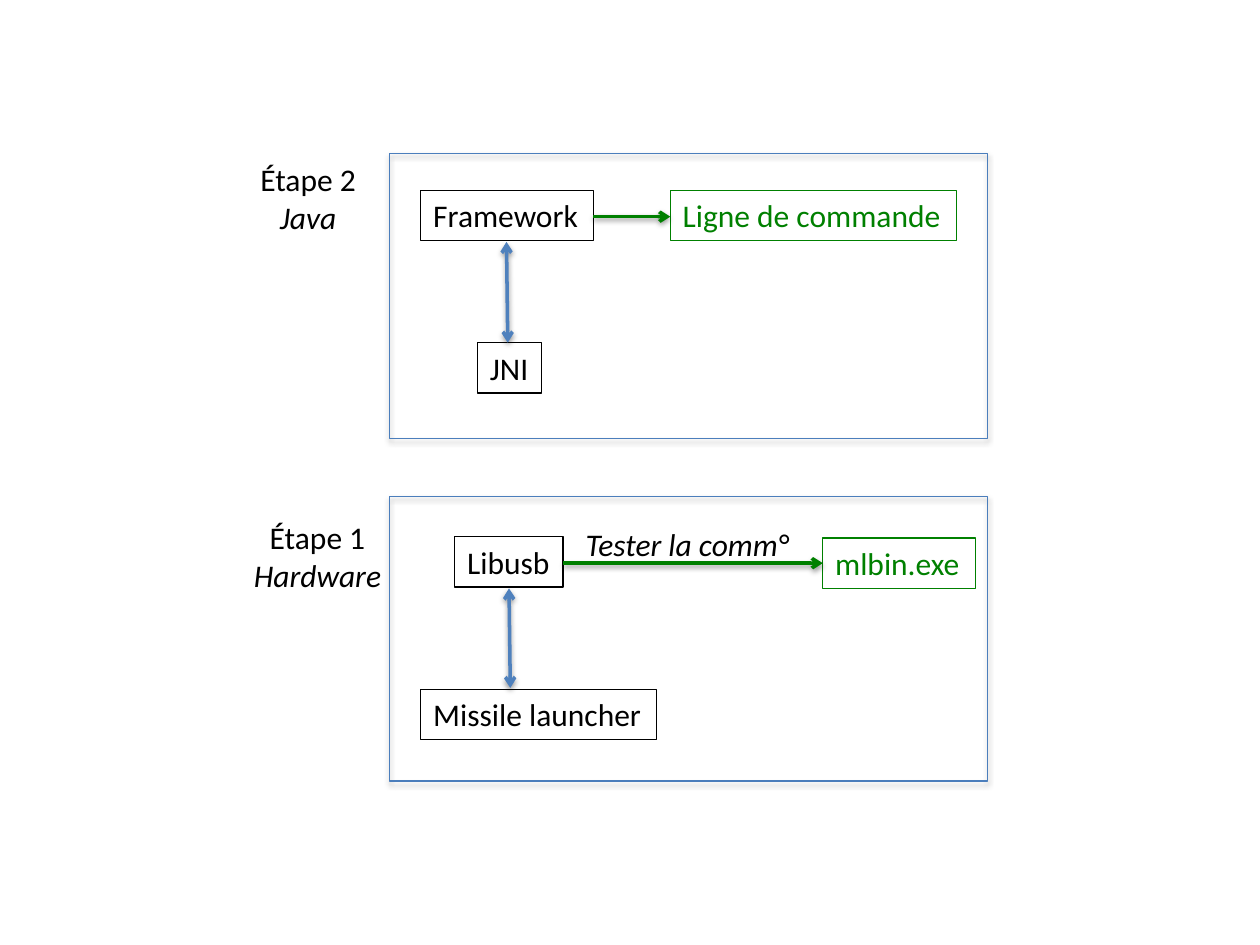
from dataclasses import dataclass

import lxml.etree
import pptx
import pptx.dml.color
import pptx.enum.shapes
import pptx.enum.text
import pptx.oxml
import pptx.oxml.ns
import pptx.util

Inches = pptx.util.Inches
Pt = pptx.util.Pt

COLORS = {"text": "000000", "frame": "4B7EBC", "link": "4F81BD", "output": "008000"}
FONT = "Calibri"
BOX_HEIGHT = 0.4


@dataclass
class Box:
    """A one-line label, outlined unless it is a caption."""
    text: str
    left: float
    top: float
    width: float
    color: str = "text"
    outlined: bool = True
    italic: bool = False


@dataclass
class Step:
    """A stage name over its technology."""
    name: str
    technology: str
    left: float
    top: float
    width: float


@dataclass
class Arrow:
    start: tuple[float, float]
    end: tuple[float, float]
    color: str
    two_way: bool = False


FRAME_LEFT, FRAME_WIDTH, FRAME_HEIGHT = 3.09, 4.75, 2.26
FRAME_TOPS = (1.22, 3.94)

BOXES = [
    Box("Framework", 3.34, 1.51, 1.37),
    Box("JNI", 3.79, 2.72, 0.51),
    Box("Libusb", 3.61, 4.26, 0.86),
    Box("Missile launcher", 3.34, 5.47, 1.87),
    Box("mlbin.exe", 6.53, 4.27, 1.21, "output"),
    Box("Ligne de commande", 5.32, 1.51, 2.27, "output"),
]
CAPTION = Box("Tester la comm°", 4.55, 4.12, 1.92, outlined=False, italic=True)
STEPS = [
    Step("Étape 1", "Hardware", 1.88, 4.06, 1.28),
    Step("Étape 2", "Java", 1.95, 1.22, 0.99),
]
ARROWS = [
    Arrow((4.04, 4.67), (4.05, 5.46), "link", two_way=True),
    Arrow((4.02, 1.92), (4.03, 2.72), "link", two_way=True),
    Arrow((4.71, 1.72), (5.32, 1.72), "output"),
    Arrow((4.47, 4.47), (6.53, 4.47), "output"),
]


def rgb(name: str) -> pptx.dml.color.RGBColor:
    return pptx.dml.color.RGBColor.from_string(COLORS[name])


def set_line(line, color: str, width: float) -> None:
    line.color.rgb = rgb(color)
    line.width = Pt(width)


def add_shadow(shape, distance: float, opacity: int) -> None:
    """Cast a soft black shadow straight down."""
    shape._element.spPr.append(pptx.oxml.parse_xml(
        f'<a:effectLst {pptx.oxml.ns.nsdecls("a")}>'
        f'<a:outerShdw blurRad="{Pt(3.1)}" dist="{Pt(distance)}" dir="5400000" rotWithShape="0">'
        f'<a:srgbClr val="000000"><a:alpha val="{opacity * 1000}"/></a:srgbClr>'
        '</a:outerShdw></a:effectLst>'))


def add_frame(page, top: float) -> None:
    frame = page.shapes.add_shape(
        pptx.enum.shapes.MSO_SHAPE.RECTANGLE, Inches(FRAME_LEFT), Inches(top),
        Inches(FRAME_WIDTH), Inches(FRAME_HEIGHT))
    frame.fill.background()
    set_line(frame.line, "frame", 0.75)
    add_shadow(frame, 1.8, 35)


def add_text(page, left: float, top: float, width: float, height: float):
    """Add an empty text box that fits its unwrapped text."""
    shape = page.shapes.add_textbox(Inches(left), Inches(top), Inches(width), Inches(height))
    shape.text_frame.word_wrap = False
    shape.text_frame.auto_size = pptx.enum.text.MSO_AUTO_SIZE.SHAPE_TO_FIT_TEXT
    return shape


def write_para(para, text: str, color: str = "text", italic: bool = False) -> None:
    para.text = text
    para.font.name = FONT
    para.font.size = Pt(18)
    para.font.italic = italic
    para.font.color.rgb = rgb(color)


def add_box(page, box: Box) -> None:
    shape = add_text(page, box.left, box.top, box.width, BOX_HEIGHT)
    if box.outlined:
        set_line(shape.line, box.color, 0.75)
    write_para(shape.text_frame.paragraphs[0], box.text, box.color, box.italic)


def add_step(page, step: Step) -> None:
    frame = add_text(page, step.left, step.top, step.width, 0.71).text_frame
    write_para(frame.paragraphs[0], step.name)
    write_para(frame.add_paragraph(), step.technology, italic=True)
    for para in frame.paragraphs:
        para.alignment = pptx.enum.text.PP_ALIGN.CENTER


def add_arrow(page, arrow: Arrow) -> None:
    connector = page.shapes.add_connector(
        pptx.enum.shapes.MSO_CONNECTOR.STRAIGHT,
        *(Inches(value) for value in arrow.start + arrow.end))
    set_line(connector.line, arrow.color, 2)
    for tag in ("a:headEnd", "a:tailEnd") if arrow.two_way else ("a:tailEnd",):
        lxml.etree.SubElement(
            connector.line._get_or_add_ln(), pptx.oxml.ns.qn(tag), type="arrow")
    add_shadow(connector, 1.6, 38)


def main() -> None:
    deck = pptx.Presentation()
    deck.slide_width, deck.slide_height = Inches(10), Inches(7.5)
    page = deck.slides.add_slide(deck.slide_layouts[6])

    # Stage frames and their names
    for top in FRAME_TOPS:
        add_frame(page, top)
    for step in STEPS:
        add_step(page, step)

    # Components, links and the test caption
    for box in BOXES:
        add_box(page, box)
    for arrow in ARROWS:
        add_arrow(page, arrow)
    add_box(page, CAPTION)

    deck.save("out.pptx")


if __name__ == "__main__":
    main()
